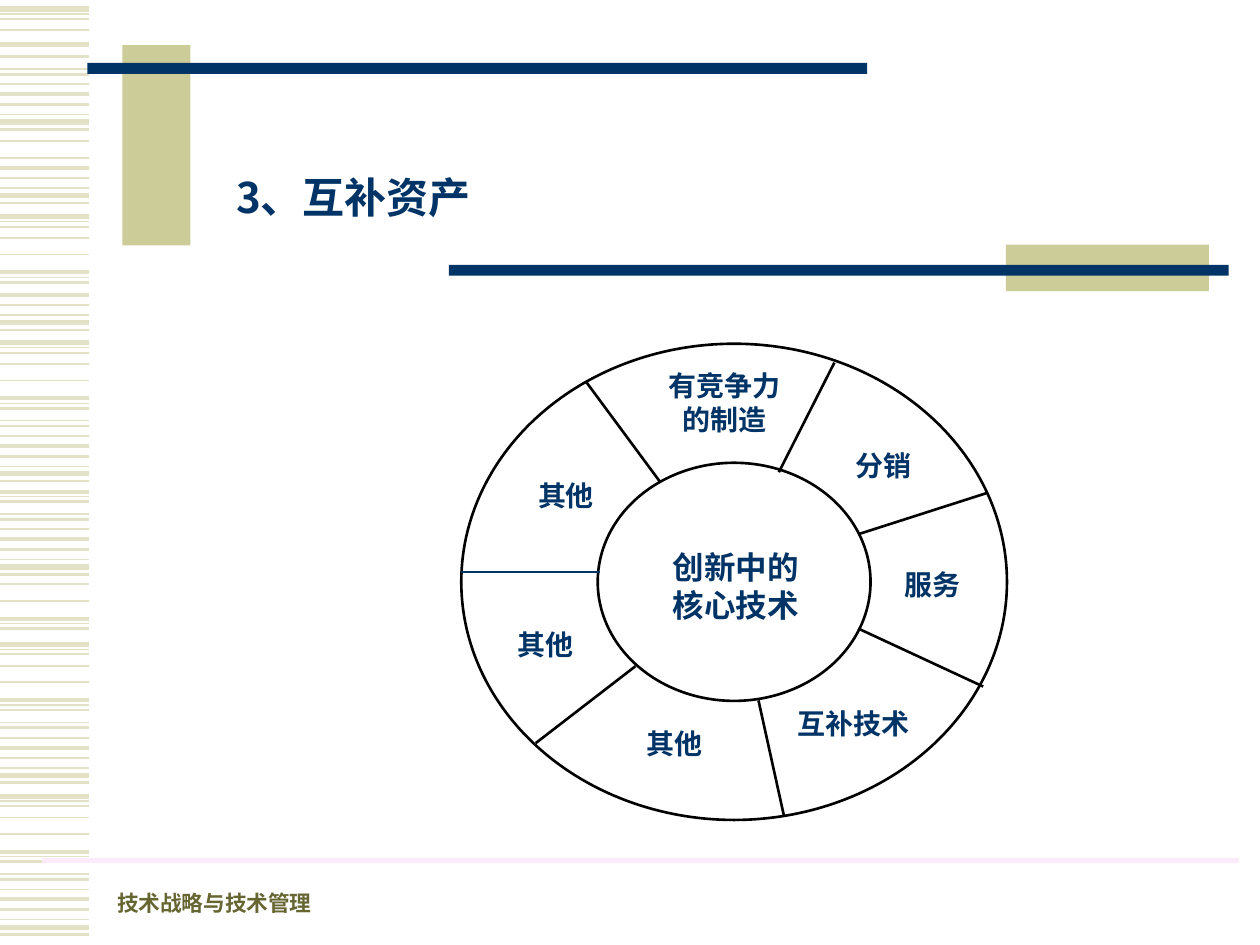
import pptx
import pptx.dml.color
import pptx.enum.shapes
import pptx.enum.text
import pptx.oxml.ns
import pptx.util
from lxml import etree

Cm, Pt = pptx.util.Cm, pptx.util.Pt
qn = pptx.oxml.ns.qn
SHAPE = pptx.enum.shapes.MSO_SHAPE
ALIGN = pptx.enum.text.PP_ALIGN
ANCHOR = pptx.enum.text.MSO_ANCHOR

COLORS = {
    "stripe": "E3E2C7", "khaki": "CCCC99", "navy": "003366", "pink": "FBEBFB",
    "olive": "666633", "black": "000000", "white": "FFFFFF",
}
FONT = "Noto Sans CJK SC"

# One stripe pattern: (offset from its start in cm, weight in points)
STRIPES = [
    (0, 3), (0.1, 0.75), (0.2, 1), (0.43, 1), (0.76, 1), (1.12, 2.25),
    (1.22, 0.75), (1.32, 1.5), (1.57, 0.75), (1.68, 1.5), (1.88, 1),
    (2.08, 2.25), (2.29, 1.5), (2.49, 0.75), (2.64, 3), (2.79, 1.5),
]
# Where the pattern starts, and the first and last stripe shown there
STRIPE_RUNS = [
    (0.18, 0, 3), (0.89, 0, 0), (-0.18, 7, 15), (2.08, 4, 4), (1.3, 10, 15),
    (4.37, 0, 7), (3.86, 11, 15), (6.91, 0, 15), (8.79, 5, 15),
    (11.35, 3, 7), (12.99, 0, 15), (16.05, 0, 15),
]
# Ring parts, relative to the ring's corner
SPOKES = [
    (2.51, 0.76, 4.01, 2.79), (5.99, 7.19, 6.5, 9.5), (8, 5.74, 10.52, 6.91),
    (8, 3.84, 10.62, 3), (7.52, 0.38, 6.4, 2.59), (1.5, 8.05, 3.51, 6.5),
]
ASSETS = [
    ("有竞争力的制造", 3.81, 0.38, 1.63), ("分销", 7.01, 1.98, 0.94),
    ("服务", 8, 4.39, 0.94), ("互补技术", 6.4, 7.19, 0.94),
    ("其他", 2.79, 7.59, 0.94), ("其他", 0.2, 5.59, 0.94),
    ("其他", 0.61, 2.59, 0.94),
]


def rgb(name):
    return pptx.dml.color.RGBColor.from_string(COLORS[name])


def add_line(slide, x1, y1, x2, y2, color, weight):
    cx = slide.shapes.add_connector(
        pptx.enum.shapes.MSO_CONNECTOR.STRAIGHT, Cm(x1), Cm(y1), Cm(x2), Cm(y2))
    cx.line.color.rgb = rgb(color)
    cx.line.width = Pt(weight)
    etree.SubElement(cx._element.spPr, qn("a:effectLst"))


def add_solid(slide, kind, x, y, w, h, fill, line=None):
    sp = slide.shapes.add_shape(kind, Cm(x), Cm(y), Cm(w), Cm(h))
    sp.shadow.inherit = False
    sp.fill.solid()
    sp.fill.fore_color.rgb = rgb(fill)
    if line:
        sp.line.color.rgb = rgb(line)
        sp.line.width = Pt(1.5)
    else:
        sp.line.fill.background()


def add_text(slide, text, x, y, w, h, size, color="navy", latin=FONT,
             align=ALIGN.LEFT, anchor=ANCHOR.TOP, before=0):
    tf = slide.shapes.add_textbox(Cm(x), Cm(y), Cm(w), Cm(h)).text_frame
    tf.word_wrap = True
    tf.vertical_anchor = anchor
    p = tf.paragraphs[0]
    p.alignment = align
    p.space_before = Pt(before)
    r = p.add_run()
    r.text = text
    r.font.size = Pt(size)
    r.font.bold = True
    r.font.name = latin
    r.font.color.rgb = rgb(color)
    ea = etree.SubElement(r._r.get_or_add_rPr(), qn("a:ea"))
    ea.set("typeface", FONT)


def draw_stripes(slide, x, y, w):
    for start, first, last in STRIPE_RUNS:
        for offset, weight in STRIPES[first:last + 1]:
            line_y = y + start + offset
            add_line(slide, x, line_y, x + w, line_y, "stripe", weight)


def draw_header(slide, x, y):
    """Two navy bars over khaki blocks, with the title between them."""
    for dx, dy, w, h, fill in [
        (0.71, 0, 1.37, 4.04, "khaki"), (0, 0.36, 15.72, 0.22, "navy"),
        (18.52, 4.02, 4.09, 0.94, "khaki"), (7.29, 4.43, 15.72, 0.22, "navy"),
    ]:
        add_solid(slide, SHAPE.RECTANGLE, x + dx, y + dy, w, h, fill)
    add_text(slide, "3、互补资产", x + 2.75, y + 2.42, 6.6, 1.27, 24)


def draw_footer(slide, x, y, w):
    add_line(slide, x, y, x + w, y, "pink", 3)
    add_text(slide, "技术战略与技术管理", x + 1.27, y + 0.38, 6.6, 0.86, 12.4,
             color="olive", latin="Times New Roman", anchor=ANCHOR.BOTTOM)


def draw_ring(slide, x, y, w, h):
    """Core technology in a half-size oval, complementary assets around it."""
    add_solid(slide, SHAPE.OVAL, x, y, w, h, "white", "black")
    add_solid(slide, SHAPE.OVAL, x + w / 4, y + h / 4, w / 2, h / 2,
              "white", "black")
    for x1, y1, x2, y2 in SPOKES:
        add_line(slide, x + x1, y + y1, x + x2, y + y2, "black", 1.5)
    add_line(slide, x, y + 4.6, x + 2.79, y + 4.6, "navy", 0.75)
    add_text(slide, "创新中的核心技术", x + 4.01, y + 3.99, 3.61, 1.78, 18,
             before=11.2)
    for text, dx, dy, label_h in ASSETS:
        add_text(slide, text, x + dx, y + dy, 3, label_h, 16,
                 align=ALIGN.CENTER, before=10)


def main():
    prs = pptx.Presentation()
    prs.slide_width, prs.slide_height = Cm(25.4), Cm(19.05)
    slide = prs.slides.add_slide(prs.slide_layouts[6])
    draw_stripes(slide, 0, 0, 1.8)
    draw_header(slide, 1.76, 0.91)
    draw_footer(slide, 0.84, 17.35, 24.13)
    draw_ring(slide, 9.3, 6.93, 11, 9.6)
    prs.save("out.pptx")


if __name__ == "__main__":
    main()
